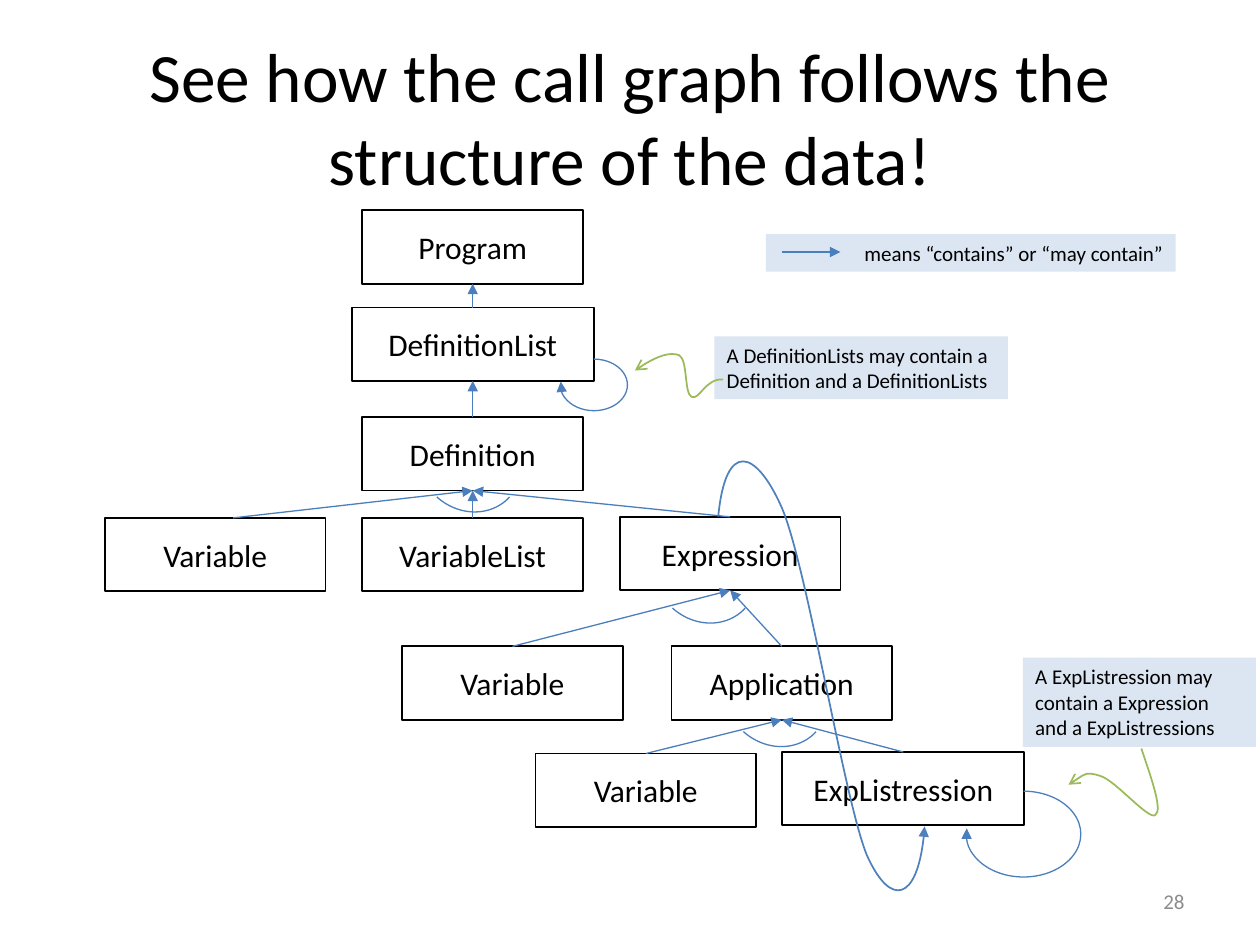
from lxml import etree
from pptx import Presentation
from pptx.dml.color import RGBColor
from pptx.enum.shapes import MSO_CONNECTOR, MSO_SHAPE
from pptx.enum.text import MSO_ANCHOR, MSO_AUTO_SIZE, PP_ALIGN
from pptx.oxml.ns import qn
from pptx.util import Cm, Pt

RECTANGLE, ARC = MSO_SHAPE.RECTANGLE, MSO_SHAPE.ARC
STRAIGHT = MSO_CONNECTOR.STRAIGHT
MIDDLE, TOP = MSO_ANCHOR.MIDDLE, MSO_ANCHOR.TOP
GROW = MSO_AUTO_SIZE.SHAPE_TO_FIT_TEXT
NO_FIT = MSO_AUTO_SIZE.NONE
LEFT, CENTER, RIGHT = PP_ALIGN.LEFT, PP_ALIGN.CENTER, PP_ALIGN.RIGHT
TOP_SITE, BOTTOM_SITE = 0, 2

BLACK, GREY, PALE = "000000", "8C8C8C", "DCE6F2"
BLUE, STRONG_BLUE, GREEN = "4B7EBC", "4F81BD", "9BBB59"
BOX_HEIGHT = 1.48
NORMAL, WIDE = 4.45, 4.88

# key: (label, centre, top, width)
NODES = {
    "program": ("Program", 9.53, 4.24, NORMAL),
    "definitions": ("DefinitionList", 9.53, 6.2, WIDE),
    "definition": ("Definition", 9.53, 8.41, NORMAL),
    "defined name": ("Variable", 4.34, 10.44, NORMAL),
    "parameters": ("VariableList", 9.53, 10.44, NORMAL),
    "expression": ("Expression", 14.72, 10.42, NORMAL),
    "variable": ("Variable", 10.33, 13.03, NORMAL),
    "application": ("Application", 15.76, 13.03, NORMAL),
    "operator": ("Variable", 13.02, 15.19, NORMAL),
    "operands": ("ExpListression", 18.21, 15.16, WIDE),
}
CONTAINED_IN = [
    ("definitions", "program"), ("definition", "definitions"),
    ("parameters", "definition"), ("expression", "definition"),
    ("variable", "expression"), ("application", "expression"),
    ("operator", "application"), ("operands", "application"),
]
# Each curve: start point, then two control points and an end point per piece
LIST_POINTER = [(14.58, 7.65), (14.22, 7.62), (14.1, 8.08), (13.94, 8),
                (13.79, 7.92), (13.87, 7.26), (13.69, 7.16),
                (13.49, 7.09), (13.11, 7.24), (12.8, 7.47)]
RECURSION = [(14.48, 10.41), (14.63, 8.86), (15.24, 9.07), (15.75, 10.21),
             (16.26, 11.35), (17.02, 16.15), (17.48, 17.25),
             (17.96, 18.31), (18.54, 18.14), (18.64, 16.66)]
OPERANDS_POINTER = [(23.01, 15.09), (23.22, 15.72), (23.44, 16.33), (23.29, 16.43),
                    (23.16, 16.54), (22.5, 15.75), (22.2, 15.65),
                    (21.89, 15.54), (21.72, 15.7), (21.54, 15.82)]
SELF_LOOPS = [(19.48, 15.95, 2.31, 1.73), (11.3, 7.24, 1.35, 1.04)]
BRANCH_ARCS = [(8.48, 8.2), (14.66, 12.93), (13.23, 10.44)]


def color(value):
    return RGBColor.from_string(value)


class Diagram:
    def __init__(self, slide, font="Calibri"):
        self.shapes = slide.shapes
        self.font = font

    def set_text(self, shape, text, size, align, anchor=MIDDLE, ink=BLACK, fit=NO_FIT):
        frame = shape.text_frame
        frame.text = text
        frame.word_wrap = True
        frame.auto_size = fit
        frame.vertical_anchor = anchor
        para = frame.paragraphs[0]
        para.alignment = align
        para.font.name = self.font
        para.font.size = Pt(size)
        para.font.color.rgb = color(ink)

    def stroke(self, shape, ink, width, head=None):
        shape.line.color.rgb = color(ink)
        shape.line.width = Pt(width)
        if head:
            line = shape._element.spPr.find(qn("a:ln"))
            etree.SubElement(line, qn("a:tailEnd"), type=head)

    def title(self, text):
        title = self.shapes.title
        title.left, title.top = Cm(1.27), Cm(0.76)
        title.width, title.height = Cm(22.86), Cm(3.18)
        self.set_text(title, text, 39.6, CENTER)

    def page_number(self, text):
        box = self.shapes.add_textbox(Cm(18.21), Cm(17.65), Cm(5.92), Cm(1.02))
        self.set_text(box, text, 12, RIGHT, ink=GREY)

    def node(self, label, center, top, width):
        box = self.shapes.add_shape(
            RECTANGLE, Cm(center - width / 2), Cm(top), Cm(width), Cm(BOX_HEIGHT))
        box.shadow.inherit = False
        box.fill.background()
        self.stroke(box, BLACK, 1)
        self.set_text(box, label, 18, CENTER)
        return box

    def note(self, text, left, top, width, height, align=LEFT):
        box = self.shapes.add_shape(
            RECTANGLE, Cm(left), Cm(top), Cm(width), Cm(height))
        box.shadow.inherit = False
        box.fill.solid()
        box.fill.fore_color.rgb = color(PALE)
        box.line.fill.background()
        self.set_text(box, text, 12, align, TOP, fit=GROW)

    def arrow(self, x1=0, y1=0, x2=0, y2=0):
        line = self.shapes.add_connector(STRAIGHT, Cm(x1), Cm(y1), Cm(x2), Cm(y2))
        self.stroke(line, BLUE, 0.75, "triangle")
        etree.SubElement(line._element.spPr, qn("a:effectLst"))
        return line

    def link(self, child, parent):
        line = self.arrow()
        line.begin_connect(child, TOP_SITE)
        line.end_connect(parent, BOTTOM_SITE)

    def arc(self, left, top, width, height, head=None):
        arc = self.shapes.add_shape(ARC, Cm(left), Cm(top), Cm(width), Cm(height))
        arc.shadow.inherit = False
        arc.fill.background()
        self.stroke(arc, BLUE, 0.75, head)
        return arc

    def curve(self, points, ink, head):
        """Draw a freeform and turn each three of its segments into one Bezier."""
        start, *others = [(Cm(x), Cm(y)) for x, y in points]
        builder = self.shapes.build_freeform(*start)
        builder.add_line_segments(others, close=False)
        curve = builder.convert_to_shape()
        segments = list(curve._element.iter(qn("a:lnTo")))
        for first in range(0, len(segments), 3):
            bezier = etree.Element(qn("a:cubicBezTo"))
            segments[first].addprevious(bezier)
            for segment in segments[first:first + 3]:
                bezier.append(segment[0])
                segment.getparent().remove(segment)
        curve.shadow.inherit = False
        curve.fill.background()
        self.stroke(curve, ink, 1, head)


def main():
    deck = Presentation()
    deck.slide_width, deck.slide_height = Cm(25.4), Cm(19.05)
    diagram = Diagram(deck.slides.add_slide(deck.slide_layouts[5]))
    diagram.title("See how the call graph follows the structure of the data!")
    diagram.page_number("28")

    boxes = {key: diagram.node(*node) for key, node in NODES.items()}
    for child, parent in CONTAINED_IN:
        diagram.link(boxes[child], boxes[parent])
    diagram.arrow(4.7, 10.44, 9.53, 9.89)

    diagram.note("A DefinitionLists may contain a Definition and a DefinitionLists",
                 14.4, 6.78, 5.92, 1.27)
    diagram.curve(LIST_POINTER, GREEN, "arrow")
    diagram.curve(RECURSION, STRONG_BLUE, "triangle")
    for place in SELF_LOOPS:
        loop = diagram.arc(*place, head="triangle")
        loop.adjustments[0] = 162
        loop.adjustments[1] = 111.43
    diagram.note("A ExpListression may contain a Expression and a ExpListressions",
                 20.62, 13.26, 4.7, 1.8)
    diagram.curve(OPERANDS_POINTER, GREEN, "arrow")
    for left, top in BRANCH_ARCS:
        diagram.arc(left, top, 1.96, 2.18).rotation = 132

    diagram.note("means “contains” or “may contain”", 15.44, 4.72, 8.26, 0.76, RIGHT)
    diagram.arrow(15.77, 5.08, 16.94, 5.08)
    deck.save("out.pptx")


if __name__ == "__main__":
    main()
